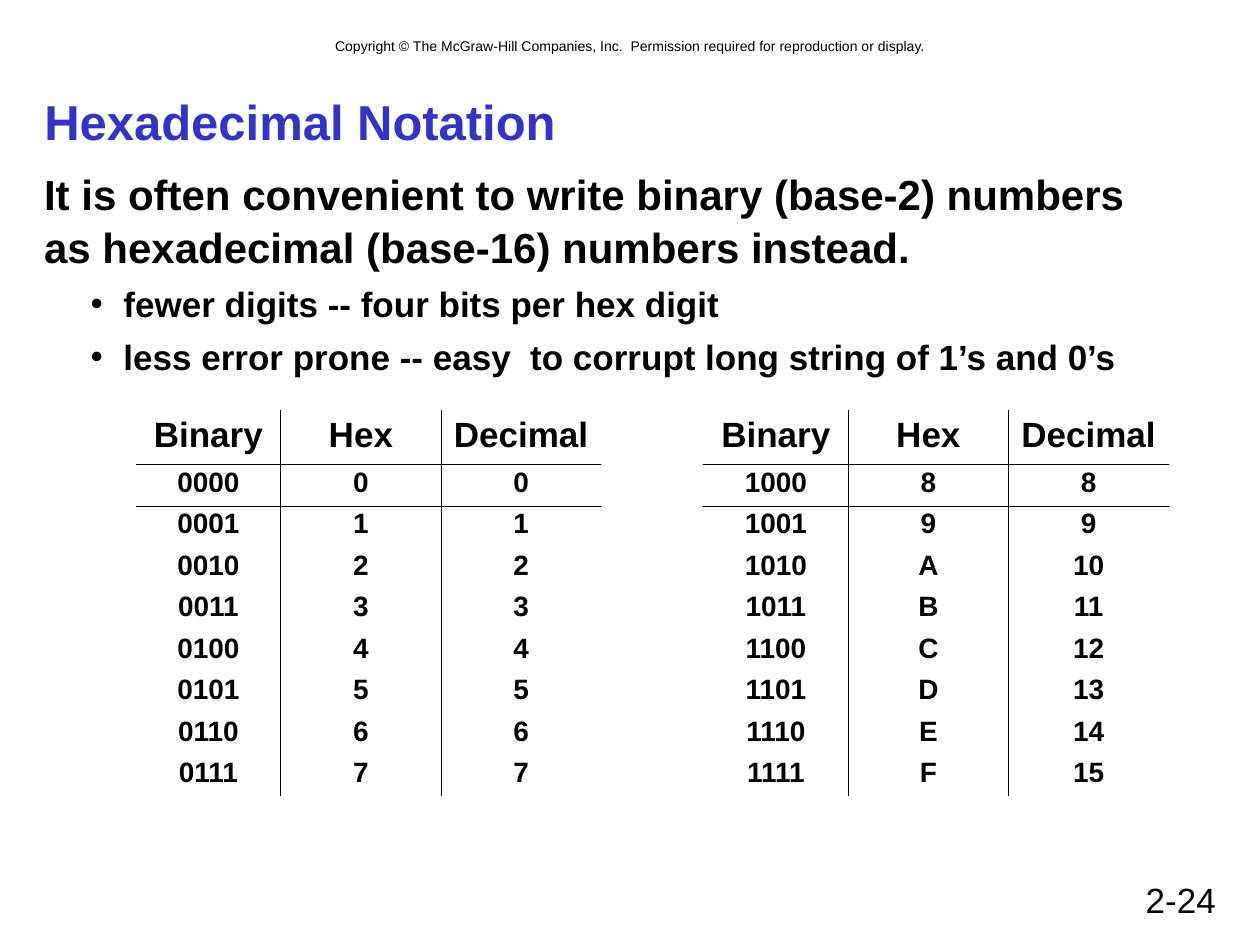
"""Build the slide on base-16 numbers with two lookup tables."""
from dataclasses import dataclass

from lxml.etree import SubElement
from pptx import Presentation
from pptx.dml.color import RGBColor
from pptx.enum.text import MSO_ANCHOR, MSO_AUTO_SIZE, PP_ALIGN
from pptx.oxml.ns import qn
from pptx.util import Cm, Pt

BLACK = RGBColor(0x00, 0x00, 0x00)
BLUE = RGBColor(0x33, 0x33, 0xCC)
FONT = "Arial"
PLAIN = "{2D5ABB26-0587-4C30-8999-92F81FD0307C}"
HEADS = ("Binary", "Hex", "Decimal")
WIDTHS = (2.92, 3.23, 3.23)
HEAD_HIGH, ROW_HIGH = 1.1, 0.83
ROWS = 8


@dataclass(frozen=True)
class Box:
    left: float
    top: float
    width: float
    height: float

    def lengths(self) -> tuple:
        return Cm(self.left), Cm(self.top), Cm(self.width), Cm(self.height)


@dataclass(frozen=True)
class Label:
    text: str
    box: Box
    size: int
    align: PP_ALIGN


@dataclass(frozen=True)
class Grid:
    left: float
    top: float
    start: int


LABELS = (
    Label("Copyright © The McGraw-Hill Companies, Inc.  Permission required "
          "for reproduction or display.",
          Box(1.7, 0.64, 22.02, 0.61), 8, PP_ALIGN.CENTER),
    Label("2-24", Box(18.21, 17.58, 6.55, 1.07), 20, PP_ALIGN.RIGHT),
)
TITLE = Box(0.64, 1.7, 24.13, 1.47)
BODY = Box(0.64, 3.18, 24.13, 13.77)
LEAD = ("It is often convenient to write binary (base-2) numbers",
        "as hexadecimal (base-16) numbers instead.")
POINTS = ("fewer digits -- four bits per hex digit",
          "less error prone -- easy  to corrupt long string of 1’s and 0’s")
GRIDS = (Grid(2.74, 8.26, 0), Grid(14.18, 8.26, 8))


def add_run(para, text: str, size: int, bold: bool = True,
            color: RGBColor = BLACK) -> None:
    run = para.add_run()
    run.text = text
    font = run.font
    font.name, font.size, font.bold = FONT, Pt(size), bold
    font.color.rgb = color


def add_frame(slide, box: Box):
    frame = slide.shapes.add_textbox(*box.lengths()).text_frame
    frame.word_wrap = True
    return frame


def add_label(slide, label: Label) -> None:
    para = add_frame(slide, label.box).paragraphs[0]
    para.alignment = label.align
    add_run(para, label.text, label.size, bold=False)


def set_title(slide, text: str) -> None:
    title = slide.shapes.title
    title.left, title.top, title.width, title.height = TITLE.lengths()
    frame = title.text_frame
    frame.auto_size = MSO_AUTO_SIZE.NONE
    frame.vertical_anchor = MSO_ANCHOR.MIDDLE
    para = frame.paragraphs[0]
    para.alignment = PP_ALIGN.LEFT
    add_run(para, text, 28, color=BLUE)


def add_point(frame, text: str) -> None:
    para = frame.add_paragraph()
    para.level = 1
    props = para._p.get_or_add_pPr()
    props.set("marL", str(Cm(1.6)))
    props.set("indent", str(-Cm(0.66)))
    SubElement(props, qn("a:buFont"), typeface=FONT)
    SubElement(props, qn("a:buChar"), char="•")
    para.line_spacing = 1.05
    para.space_before = Pt(5)
    add_run(para, text, 20)


def add_body(slide) -> None:
    frame = add_frame(slide, BODY)
    frame.margin_top = Cm(0.17)
    para = frame.paragraphs[0]
    para.line_spacing = 1.05
    first, second = LEAD
    add_run(para, first, 24)
    para.add_line_break()
    add_run(para, second, 24)
    for point in POINTS:
        add_point(frame, point)


def add_edge(cell, side: str) -> None:
    line = SubElement(cell._tc.get_or_add_tcPr(), qn(f"a:ln{side}"),
                      w=str(Pt(0.45)))
    fill = SubElement(line, qn("a:solidFill"))
    SubElement(fill, qn("a:srgbClr"), val=str(BLACK))


def fill_cell(cell, text: str, row: int, col: int) -> None:
    edges = {"L": col > 0, "R": col < len(HEADS) - 1,
             "T": row == 1, "B": row == 0}
    for side, drawn in edges.items():
        if drawn:
            add_edge(cell, side)
    cell.fill.background()
    cell.margin_left = cell.margin_right = Cm(0.25)
    cell.margin_top = cell.margin_bottom = Cm(0.13)
    para = cell.text_frame.paragraphs[0]
    para.alignment = PP_ALIGN.CENTER
    if row:
        para.line_spacing = 0.85
    add_run(para, text, 16 if row else 20)


def add_grid(slide, grid: Grid) -> None:
    nums = range(grid.start, grid.start + ROWS)
    data = [HEADS] + [(f"{num:04b}", f"{num:X}", str(num)) for num in nums]
    box = Box(grid.left, grid.top, sum(WIDTHS), HEAD_HIGH + ROWS * ROW_HIGH)
    table = slide.shapes.add_table(len(data), len(HEADS),
                                   *box.lengths()).table
    table.horz_banding = False
    table._tbl.tblPr.find(qn("a:tableStyleId")).text = PLAIN
    for col, width in zip(table.columns, WIDTHS):
        col.width = Cm(width)
    for row, texts in enumerate(data):
        table.rows[row].height = Cm(ROW_HIGH if row else HEAD_HIGH)
        for col, text in enumerate(texts):
            fill_cell(table.cell(row, col), text, row, col)


def main() -> None:
    deck = Presentation()
    deck.slide_width, deck.slide_height = Cm(25.4), Cm(19.05)
    slide = deck.slides.add_slide(deck.slide_layouts[5])
    for label in LABELS:
        add_label(slide, label)
    set_title(slide, "Hexadecimal Notation")
    add_body(slide)
    for grid in GRIDS:
        add_grid(slide, grid)
    deck.save("out.pptx")


if __name__ == "__main__":
    main()
